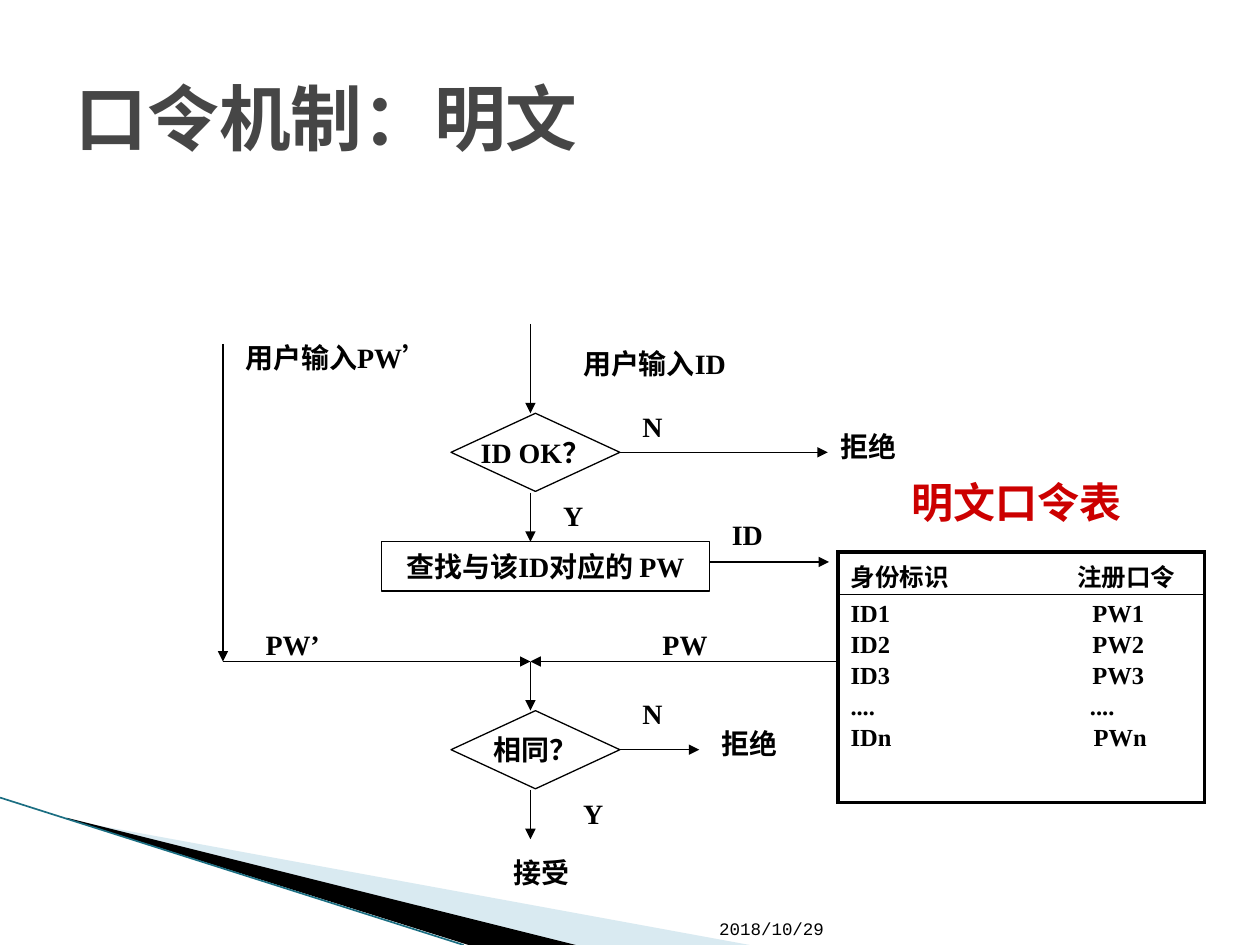
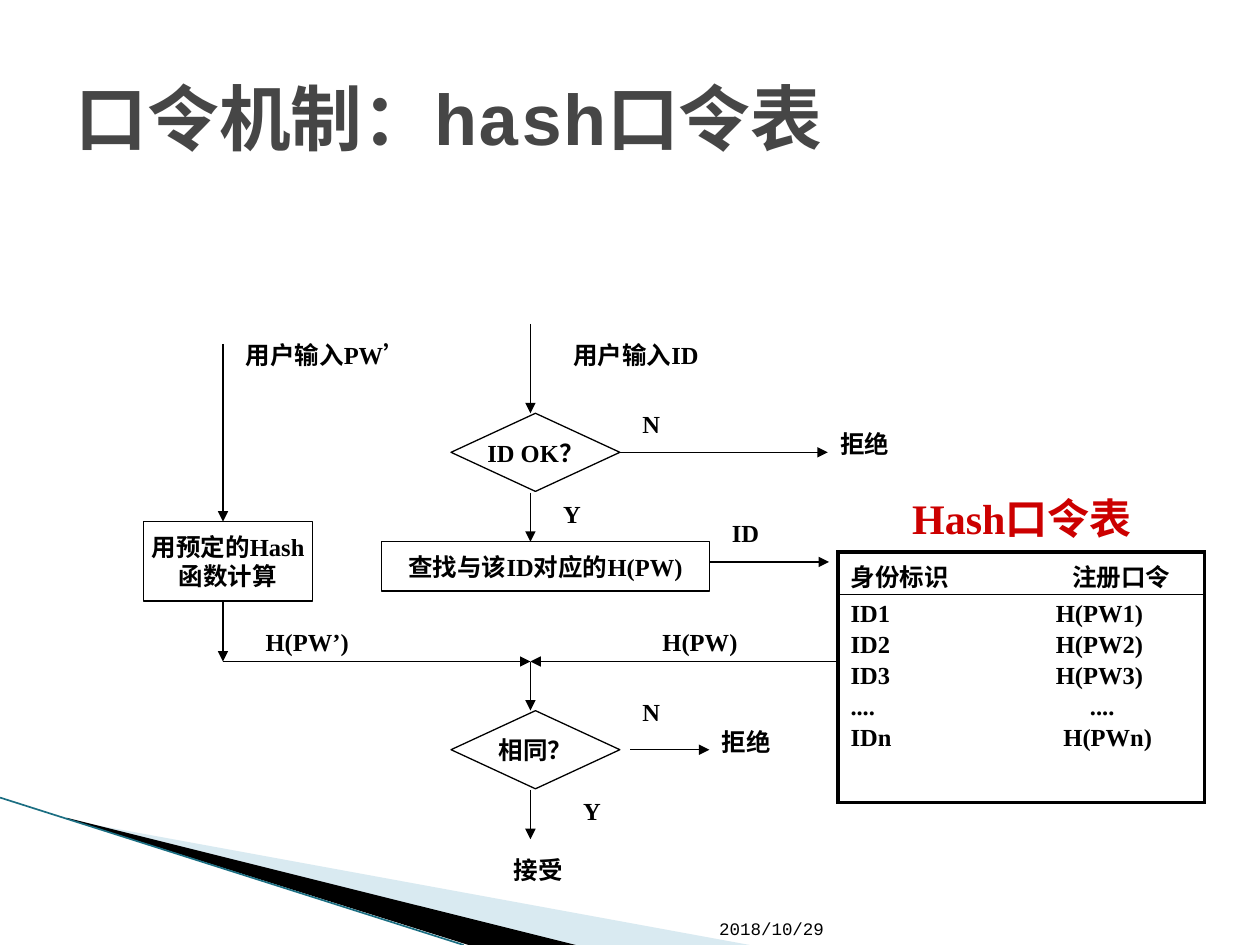
from dataclasses import dataclass
from typing import NamedTuple, Optional

from lxml.etree import SubElement
from pptx import Presentation
from pptx.dml.color import RGBColor
from pptx.enum.shapes import MSO_CONNECTOR, MSO_SHAPE
from pptx.enum.text import MSO_ANCHOR, MSO_AUTO_SIZE, PP_ALIGN
from pptx.oxml.ns import qn
from pptx.util import Emu, Pt

SCALE = 9144  # EMU in one px, 100 px to the inch
BLACK = RGBColor(0x00, 0x00, 0x00)
WHITE = RGBColor(0xFF, 0xFF, 0xFF)
GREY = RGBColor(0x46, 0x46, 0x46)
RED = RGBColor(0xCC, 0x00, 0x00)
PALE = RGBColor(0xA0, 0xCB, 0xDC)
TEAL = RGBColor(0x1B, 0x6E, 0x82)

SERIF = "Times New Roman"
MONO = "Courier New"
DATE = "2018/10/29"
MAIN = 421  # x of the main flow
SIDE = 177  # x of the password flow
JOIN = 525  # y where both flows meet


class Label(NamedTuple):
    text: str
    x: int
    y: int
    w: int


class Arrow(NamedTuple):
    x1: int
    y1: int
    x2: int
    y2: int
    start: Optional[str] = None  # box whose right side the arrow leaves


class Box(NamedTuple):
    text: str
    x: int
    y: int
    w: int
    h: int
    kind: MSO_SHAPE = MSO_SHAPE.RECTANGLE


class Row(NamedTuple):
    left: str
    right: str
    tab: int


@dataclass
class Flow:
    title: str
    size: int
    find: str
    ask: tuple[int, int]
    typed: str
    stored: str
    head: Label
    rows: list[Row]
    boxes: list[Box]
    arrows: list[Arrow]


FLOWS = [
    Flow("口令机制：明文", 16, "查找与该ID对应的 PW", (453, 270), "PW’", "PW",
         Label("明文口令表", 673, 373, 268),
         [Row("身份标识", "注册口令", 180), Row("ID1", "PW1", 192),
          Row("ID2", "PW2", 192), Row("ID3", "PW3", 192),
          Row("....", "....", 190), Row("IDn", "PWn", 193)],
         [],
         [Arrow(SIDE, 273, SIDE, JOIN), Arrow(492, 595, 555, 595, "相同？")]),
    Flow("口令机制：hash口令表", 14, "查找与该ID对应的H(PW)", (445, 265), "H(PW’)", "H(PW)",
         Label("Hash口令表", 673, 386, 276),
         [Row("身份标识", "注册口令", 176), Row("ID1", "H(PW1)", 163),
          Row("ID2", "H(PW2)", 163), Row("ID3", "H(PW3)", 163),
          Row("....", "....", 190), Row("IDn", "H(PWn)", 169)],
         [Box("用预定的Hash\n函数计算", 114, 414, 134, 63)],
         [Arrow(SIDE, 273, SIDE, 414), Arrow(SIDE, 477, SIDE, JOIN),
          Arrow(500, 595, 563, 595)]),
]

ARROWS = [
    Arrow(492, 359, 657, 359, "ID OK？"),
    Arrow(MAIN, 257, MAIN, 328),
    Arrow(MAIN, 391, MAIN, 430),
    Arrow(563, 446, 658, 446),
    Arrow(SIDE, JOIN, MAIN, JOIN),
    Arrow(665, JOIN, MAIN, JOIN),
    Arrow(MAIN, JOIN, MAIN, 564),
    Arrow(MAIN, 627, MAIN, 666),
]

LABELS = [
    Label("拒绝", 657, 336, 142),
    Label("拒绝", 563, 572, 79),
    Label("接受", 398, 674, 71),
    Label("N", 500, 320, 79),
    Label("N", 500, 548, 79),
    Label("Y", 437, 391, 79),
    Label("Y", 453, 627, 79),
    Label("用户输入PW’", 185, 265, 221),
    Label("ID", 571, 406, 55),
]


def px(*vals: int) -> list[Emu]:
    return [Emu(val * SCALE) for val in vals]


def style(para, size: int, color=BLACK, name=SERIF, bold=True, align=PP_ALIGN.LEFT) -> None:
    para.alignment = align
    for run in para.runs:
        look = {"size": Pt(size), "name": name, "bold": bold}
        for key, val in look.items():
            setattr(run.font, key, val)
        run.font.color.rgb = color


def fill_text(frame, text: str, size: int, **look) -> None:
    frame.text = text
    for para in frame.paragraphs:
        style(para, size, **look)


def add_label(slide, item: Label, size: int, high: int, **look):
    frame = slide.shapes.add_textbox(*px(item.x, item.y, item.w, high)).text_frame
    frame.word_wrap = True
    frame.auto_size = MSO_AUTO_SIZE.SHAPE_TO_FIT_TEXT
    fill_text(frame, item.text, size, **look)


def add_box(slide, item: Box, size: int):
    box = slide.shapes.add_shape(item.kind, *px(item.x, item.y, item.w, item.h))
    box.shadow.inherit = False
    box.fill.solid()
    box.fill.fore_color.rgb = WHITE
    box.line.color.rgb = BLACK
    box.line.width = Pt(0.75)
    frame = box.text_frame
    frame.word_wrap = False
    frame.vertical_anchor = MSO_ANCHOR.MIDDLE
    fill_text(frame, item.text, size, align=PP_ALIGN.CENTER)
    return box


def add_line(slide, ends: tuple[int, ...], color: RGBColor, width: float):
    line = slide.shapes.add_connector(MSO_CONNECTOR.STRAIGHT, *px(*ends))
    line.line.color.rgb = color
    line.line.width = Pt(width)
    SubElement(line._element.spPr, qn("a:effectLst"))
    return line


def add_arrow(slide, item: Arrow, boxes: dict) -> None:
    line = add_line(slide, item[:4], BLACK, 0.75)
    SubElement(line.line._get_or_add_ln(), qn("a:tailEnd"), type="triangle")
    if item.start:
        line.begin_connect(boxes[item.start], 3)


def add_wedge(slide, points: list[tuple[int, int]], color: RGBColor):
    pen = slide.shapes.build_freeform(*points[0], scale=SCALE)
    pen.add_line_segments(points[1:], close=True)
    wedge = pen.convert_to_shape()
    wedge.shadow.inherit = False
    wedge.fill.solid()
    wedge.fill.fore_color.rgb = color
    wedge.line.fill.background()
    return wedge


def add_frame(slide, title: str) -> None:
    """Draw the corner wedges, the date and the title."""
    pale = add_wedge(slide, [(55, 651), (595, 750), (456, 750), (55, 650)], PALE)
    tone = pale._element.spPr.find(".//" + qn("a:srgbClr"))
    SubElement(tone, qn("a:alpha"), val="40000")
    add_wedge(slide, [(53, 649), (457, 750), (372, 750), (54, 650)], BLACK)
    add_line(slide, (0, 633, 368, 750), TEAL, 0.95)

    date = slide.shapes.add_textbox(*px(561, 701, 112, 49)).text_frame
    date.word_wrap = True
    date.vertical_anchor = MSO_ANCHOR.BOTTOM
    fill_text(date, DATE, 10, name=MONO, bold=False)

    head = slide.shapes.title
    place = dict(zip(("left", "top", "width", "height"), px(50, 30, 900, 125)))
    for key, val in place.items():
        setattr(head, key, val)
    head.text_frame.vertical_anchor = MSO_ANCHOR.MIDDLE
    fill_text(head.text_frame, title, 41, color=GREY, name=MONO)


def set_edges(cell, top: float, bottom: float) -> None:
    props = cell._tc.get_or_add_tcPr()
    for side, width in {"L": 2.25, "R": 2.25, "T": top, "B": bottom}.items():
        edge = SubElement(props, qn(f"a:ln{side}"), w=str(Pt(width)))
        paint = SubElement(edge, qn("a:solidFill"))
        SubElement(paint, qn("a:srgbClr"), val=str(BLACK))


def add_list(slide, rows: list[Row]) -> None:
    """Draw the password table: a header cell above one cell of tabbed lines."""
    table = slide.shapes.add_table(2, 1, *px(665, 438, 291, 199)).table
    table.first_row = table.horz_banding = False
    parts = [(34, rows[:1], 2.25, 1), (165, rows[1:], 1, 2.25)]
    for num, (high, lines, top, bottom) in enumerate(parts):
        table.rows[num].height = px(high)[0]
        cell = table.cell(num, 0)
        set_edges(cell, top, bottom)
        cell.fill.background()
        text = "\n".join(f"{row.left}\t{row.right}" for row in lines)
        fill_text(cell.text_frame, text, 14)
        for pos, (para, row) in enumerate(zip(cell.text_frame.paragraphs, lines)):
            if pos:
                para.space_before = Pt(2.2)
            tabs = SubElement(para._p.get_or_add_pPr(), qn("a:tabLst"))
            SubElement(tabs, qn("a:tab"), pos=str(row.tab * SCALE), algn="l")


def add_flow(deck, flow: Flow) -> None:
    slide = deck.slides.add_slide(deck.slide_layouts[5])
    add_frame(slide, flow.title)
    shape = MSO_SHAPE.FLOWCHART_DECISION
    items = [
        Box("ID OK？", 358, 328, 134, 62, shape),
        Box("相同？", 358, 564, 134, 62, shape),
        Box(flow.find, 303, 430, 260, 39),
        *flow.boxes,
    ]
    boxes = {item.text: add_box(slide, item, flow.size) for item in items}
    add_list(slide, flow.rows)
    for item in ARROWS + flow.arrows:
        add_arrow(slide, item, boxes)
    notes = [
        Label("用户输入ID", *flow.ask, 221),
        Label(flow.typed, 201, 493, 126),
        Label(flow.stored, 516, 493, 126),
    ]
    high = 37 if flow.size == 16 else 33
    for item in LABELS + notes:
        add_label(slide, item, flow.size, high)
    add_label(slide, flow.head, 24, 50, color=RED, align=PP_ALIGN.CENTER)


def main() -> None:
    deck = Presentation()
    deck.slide_width, deck.slide_height = px(1000, 750)
    for flow in FLOWS:
        add_flow(deck, flow)
    deck.save("out.pptx")


if __name__ == "__main__":
    main()
